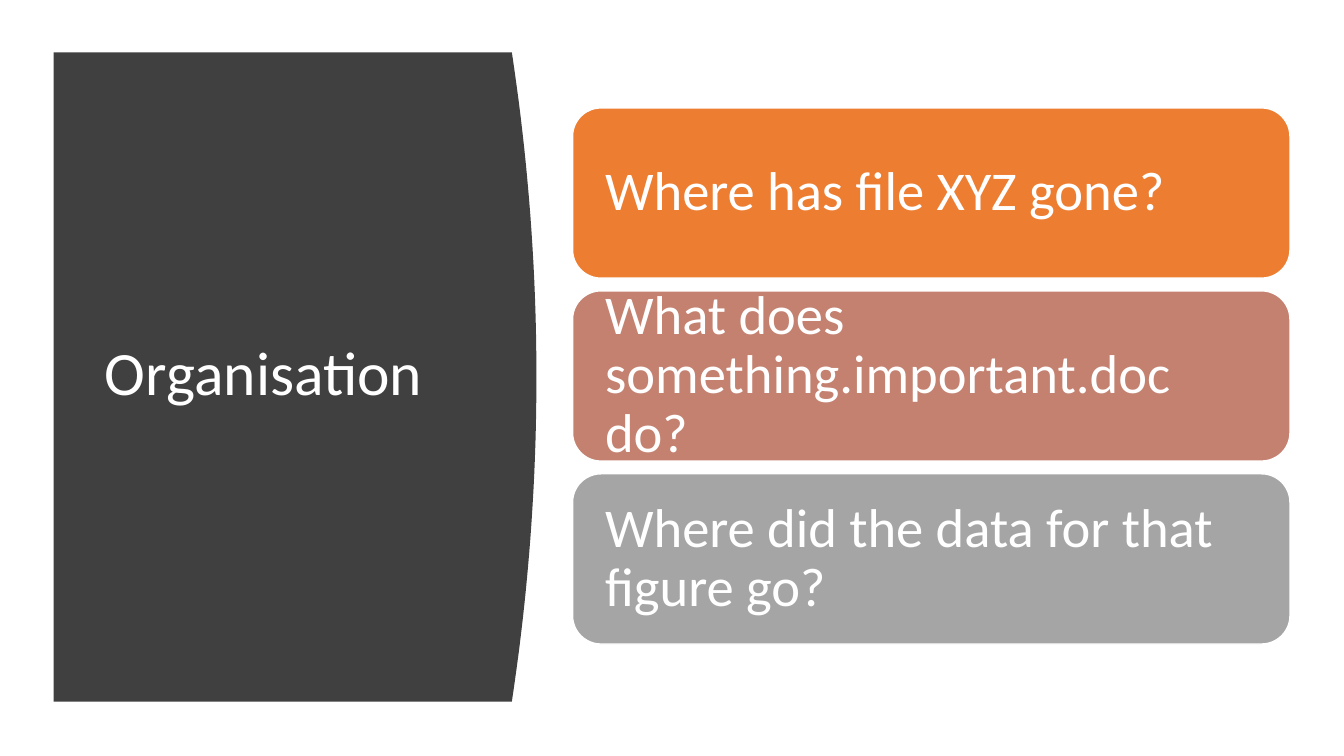
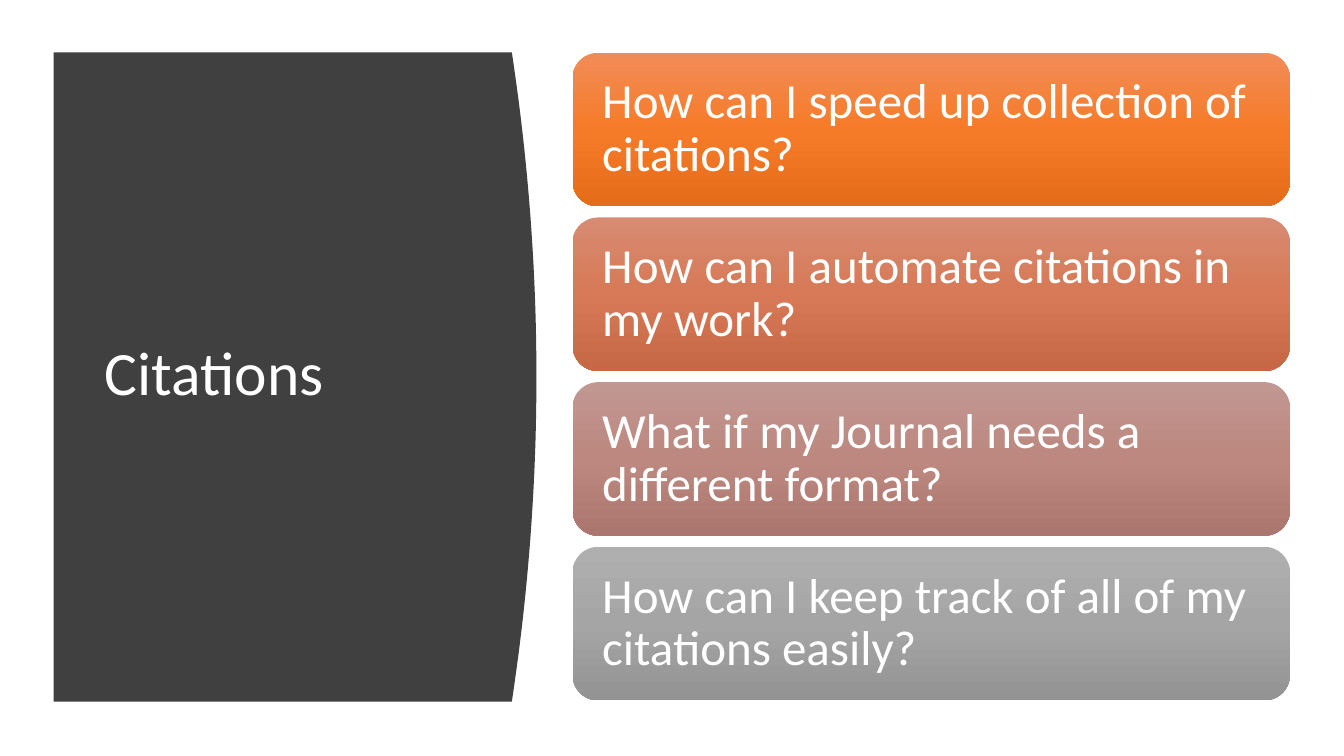
import copy

import pptx
import pptx.dml.color
import pptx.enum.shapes
import pptx.enum.text
import pptx.oxml.ns
import pptx.util

Cm = pptx.util.Cm
Pt = pptx.util.Pt

FONT = "Calibri"
COLOURS = {
    "white": "FFFFFF",
    "panel": "404040",
    "orange": "ED7D31",
    "clay": "C48170",
    "grey": "A5A5A5",
    "orange light": "F18C57",
    "orange mid": "F67B28",
    "orange dark": "E56C19",
    "rust light": "D78B72",
    "rust mid": "D77956",
    "rust dark": "C66846",
    "rose light": "C19791",
    "rose mid": "BC8880",
    "rose dark": "AA766E",
    "grey light": "AFAFAF",
    "grey dark": "939393",
}

# Panel with a bowed right edge, in centimetres
PANEL_LEFT, PANEL_TOP, PANEL_HEIGHT = 1.35, 1.32, 16.36
EDGE_LEFT, EDGE_BULGE, EDGE_STEPS = 12.9, 0.62, 40

CARD_LEFT, CARD_WIDTH = 14.43, 18.08

SLIDES = [
    {
        "title": "Organisation",
        "top": 2.72, "height": 4.29, "pitch": 4.61,
        "inset": 0.61, "size": 39, "outline": True,
        "cards": [
            ("Where has file XYZ gone?", ["orange"]),
            ("What does something.important.doc do?", ["clay"]),
            ("Where did the data for that figure go?", ["grey"]),
        ],
    },
    {
        "title": "Citations",
        "top": 1.33, "height": 3.87, "pitch": 4.15,
        "inset": 0.56, "size": 35, "outline": False,
        "cards": [
            ("How can I speed up collection of citations?",
             ["orange light", "orange mid", "orange dark"]),
            ("How can I automate citations in my work?",
             ["rust light", "rust mid", "rust dark"]),
            ("What if my Journal needs a different format?",
             ["rose light", "rose mid", "rose dark"]),
            ("How can I keep track of all of my citations easily?",
             ["grey light", "grey", "grey dark"]),
        ],
    },
]


def colour(name):
    """Return the named palette colour."""
    return pptx.dml.color.RGBColor.from_string(COLOURS[name])


def write(shape, text, size):
    """Write one white, left-aligned, vertically centred paragraph."""
    frame = shape.text_frame
    frame.word_wrap = True
    frame.auto_size = pptx.enum.text.MSO_AUTO_SIZE.NONE
    frame.vertical_anchor = pptx.enum.text.MSO_ANCHOR.MIDDLE
    para = frame.paragraphs[0]
    para.alignment = pptx.enum.text.PP_ALIGN.LEFT
    para.line_spacing = 0.9
    span = para.add_run()
    span.text = text
    span.font.name = FONT
    span.font.size = Pt(size)
    span.font.color.rgb = colour("white")


deck = pptx.Presentation()
deck.slide_width = Cm(33.87)
deck.slide_height = Cm(19.05)
title_only = deck.slide_layouts[5]

edge = []
for step in range(EDGE_STEPS + 1):
    share = step / EDGE_STEPS
    bow = EDGE_BULGE * (1 - (2 * share - 1) ** 2)
    edge.append((Cm(EDGE_LEFT + bow), Cm(PANEL_TOP + PANEL_HEIGHT * share)))
bottom_left = (Cm(PANEL_LEFT), Cm(PANEL_TOP + PANEL_HEIGHT))

for content in SLIDES:
    page = deck.slides.add_slide(title_only)

    title = page.shapes.title
    title.left, title.top = Cm(2.39), Cm(2.82)
    title.width, title.height = Cm(9.5), Cm(13.31)
    write(title, content["title"], 44)

    outline = page.shapes.build_freeform(Cm(PANEL_LEFT), Cm(PANEL_TOP))
    outline.add_line_segments(edge + [bottom_left], close=True)
    panel = outline.convert_to_shape()
    panel.shadow.inherit = False
    panel.fill.solid()
    panel.fill.fore_color.rgb = colour("panel")
    panel.line.fill.background()
    title.element.addprevious(panel.element)

    for row, (question, shades) in enumerate(content["cards"]):
        card = page.shapes.add_shape(
            pptx.enum.shapes.MSO_SHAPE.ROUNDED_RECTANGLE,
            Cm(CARD_LEFT), Cm(content["top"] + row * content["pitch"]),
            Cm(CARD_WIDTH), Cm(content["height"]))
        card.shadow.inherit = False

        if len(shades) == 1:
            card.fill.solid()
            card.fill.fore_color.rgb = colour(shades[0])
        else:
            card.fill.gradient()
            card.fill.gradient_angle = 270
            stop_list = card.element.find(".//" + pptx.oxml.ns.qn("a:gsLst"))
            stop_list.append(copy.deepcopy(stop_list[-1]))
            for place, stop in enumerate(card.fill.gradient_stops):
                stop.position = place / 2
                stop.color.rgb = colour(shades[place])

        if content["outline"]:
            card.line.color.rgb = colour("white")
            card.line.width = Pt(1)
        else:
            card.line.fill.background()

        frame = card.text_frame
        frame.margin_left = frame.margin_right = Cm(content["inset"])
        frame.margin_top = frame.margin_bottom = Cm(content["inset"])
        write(card, question, content["size"])

deck.save("out.pptx")
